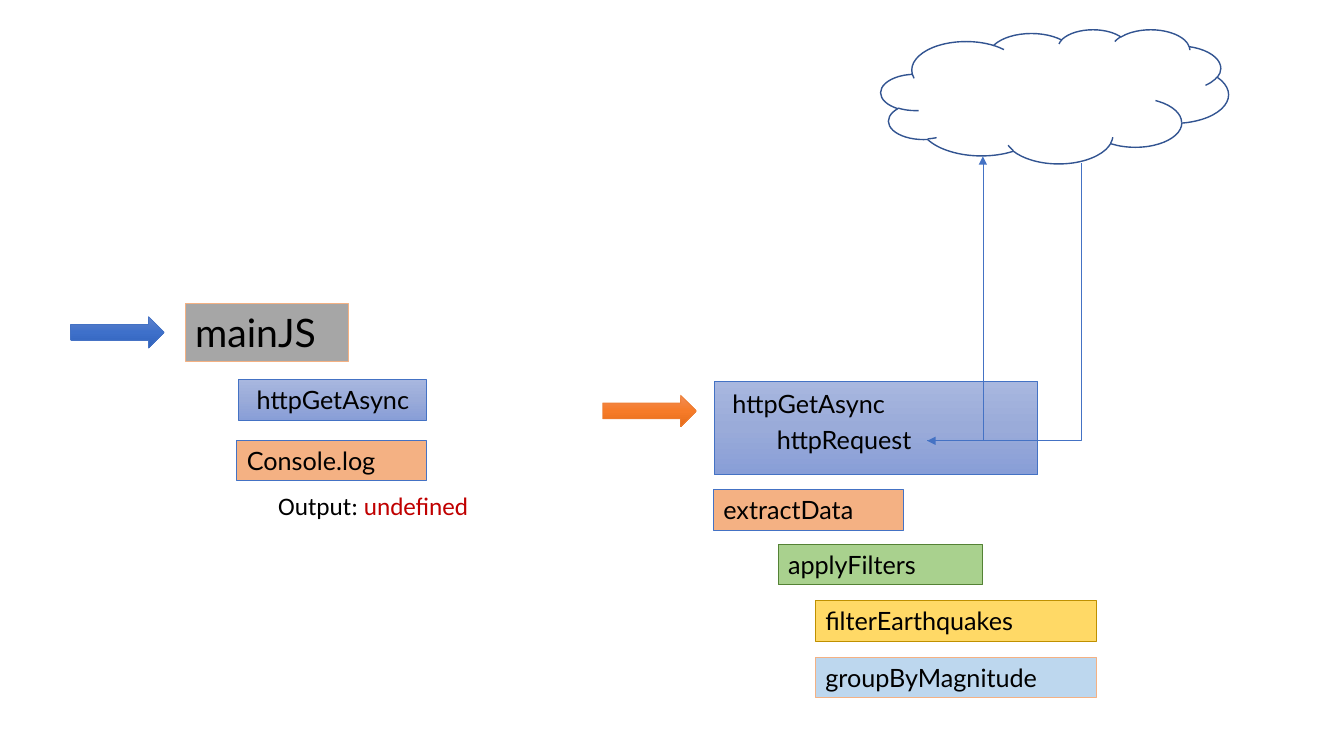
from copy import deepcopy

from lxml import etree
from pptx import Presentation
from pptx.dml.color import RGBColor
from pptx.enum.shapes import MSO_CONNECTOR, MSO_SHAPE
from pptx.enum.text import MSO_ANCHOR, PP_ALIGN
from pptx.oxml.ns import qn
from pptx.util import Cm, Pt

RECTANGLE, ARROW, CLOUD = MSO_SHAPE.RECTANGLE, MSO_SHAPE.RIGHT_ARROW, MSO_SHAPE.CLOUD
ELBOW = MSO_CONNECTOR.ELBOW
LEFT, TOP = PP_ALIGN.LEFT, MSO_ANCHOR.TOP

BLUE, ORANGE = "4472C4", "F4B183"
PALE_BLUE_GRADIENT = ["A8B7DF", "9AABD9", "889ED7"]
BLUE_GRADIENT = ["6183CB", "3E70CA", "3062BB"]
ORANGE_GRADIENT = ["F18C57", "F67B28", "E56C19"]

presentation = Presentation()
presentation.slide_width, presentation.slide_height = Cm(33.87), Cm(19.05)
slide = presentation.slides.add_slide(presentation.slide_layouts[6])


def add_figure(kind, box, colors, line_color, line_width):
    """Add a shape with no fill, one fill colour or a three-stop gradient."""
    shape = slide.shapes.add_shape(kind, *[Cm(length) for length in box])
    shape.shadow.inherit = False
    shape.line.color.rgb = RGBColor.from_string(line_color)
    shape.line.width = Pt(line_width)
    if not colors:
        shape.fill.background()
    elif len(colors) == 1:
        shape.fill.solid()
        shape.fill.fore_color.rgb = RGBColor.from_string(colors[0])
    else:
        shape.fill.gradient()
        shape.fill.gradient_angle = 270
        stop_list = shape._element.spPr.find(qn("a:gradFill")).find(qn("a:gsLst"))
        stop_list.insert(1, deepcopy(stop_list[0]))
        stop_list[1].set("pos", "50000")
        for stop, color in zip(shape.fill.gradient_stops, colors):
            stop.color.rgb = RGBColor.from_string(color)
    return shape


def write_text(shape, runs, size=18, font="Lato"):
    """Write left-aligned runs, given as pairs of text and colour."""
    frame = shape.text_frame
    frame.word_wrap = True
    frame.vertical_anchor = TOP
    paragraph = frame.paragraphs[0]
    paragraph.alignment = LEFT
    for text, color in runs:
        run = paragraph.add_run()
        run.text = text
        run.font.name = font
        run.font.size = Pt(size)
        run.font.color.rgb = RGBColor.from_string(color)


# Labelled function boxes
function_boxes = [
    ("extractData", (17.98, 12.34, 4.78, 1.02), ORANGE, BLUE, 18),
    ("applyFilters", (19.61, 13.72, 5.16, 1.02), "A9D18E", "548235", 18),
    ("filterEarthquakes", (20.55, 15.14, 7.09, 1.02), "FFD966", "BF9000", 18),
    ("groupByMagnitude", (20.55, 16.56, 7.09, 1.02), "BDD7EE", ORANGE, 18),
    ("mainJS", (4.67, 7.65, 4.11, 1.45), "A6A6A6", ORANGE, 28),
    ("Console.log", (5.97, 11.1, 4.78, 1.02), ORANGE, BLUE, 18),
]
for text, box, color, line_color, size in function_boxes:
    shape = add_figure(RECTANGLE, box, [color], line_color, 0.75)
    write_text(shape, [(text, "000000")], size)

# Request panels, step arrows and cloud
for box in [(18, 9.6, 8.15, 2.36), (6, 9.55, 4.75, 1.04)]:
    add_figure(RECTANGLE, box, PALE_BLUE_GRADIENT, BLUE, 0.5)
add_figure(ARROW, (1.78, 7.98, 2.36, 0.79), BLUE_GRADIENT, BLUE, 0.5)
add_figure(ARROW, (15.19, 9.96, 2.36, 0.79), ORANGE_GRADIENT, "ED7D31", 0.5)
add_figure(CLOUD, (22.2, 0.74, 8.76, 3.38), [], "325491", 1)

# Request and response lines between httpRequest and the cloud
for x, y, arrow_end in [(24.77, 3.94, "tailEnd"), (27.25, 4.11, "headEnd")]:
    connector = slide.shapes.add_connector(ELBOW, Cm(23.37), Cm(11.11), Cm(x), Cm(y))
    connector.line.color.rgb = RGBColor.from_string(BLUE)
    connector.line.width = Pt(0.5)
    properties = connector._element.spPr
    properties.find(qn("a:prstGeom")).set("prst", "bentConnector2")
    etree.SubElement(properties.find(qn("a:ln")), qn("a:" + arrow_end), type="triangle")
    etree.SubElement(properties, qn("a:effectLst"))

# Free text
labels = [
    ((18.21, 9.65, 5.16, 1.02), [("httpGetAsync", "000000")], "Lato"),
    ((19.33, 10.57, 4.78, 1.02), [("httpRequest", "000000")], "Lato"),
    ((6.22, 9.55, 5.16, 0.81), [("httpGetAsync", "000000")], "Lato"),
    ((6.76, 12.24, 5.36, 1.02), [("Output: ", "000000"), ("undefined", "C00000")], "Calibri"),
]
for box, runs, font in labels:
    text_box = slide.shapes.add_textbox(*[Cm(length) for length in box])
    write_text(text_box, runs, font=font)

presentation.save("out.pptx")
